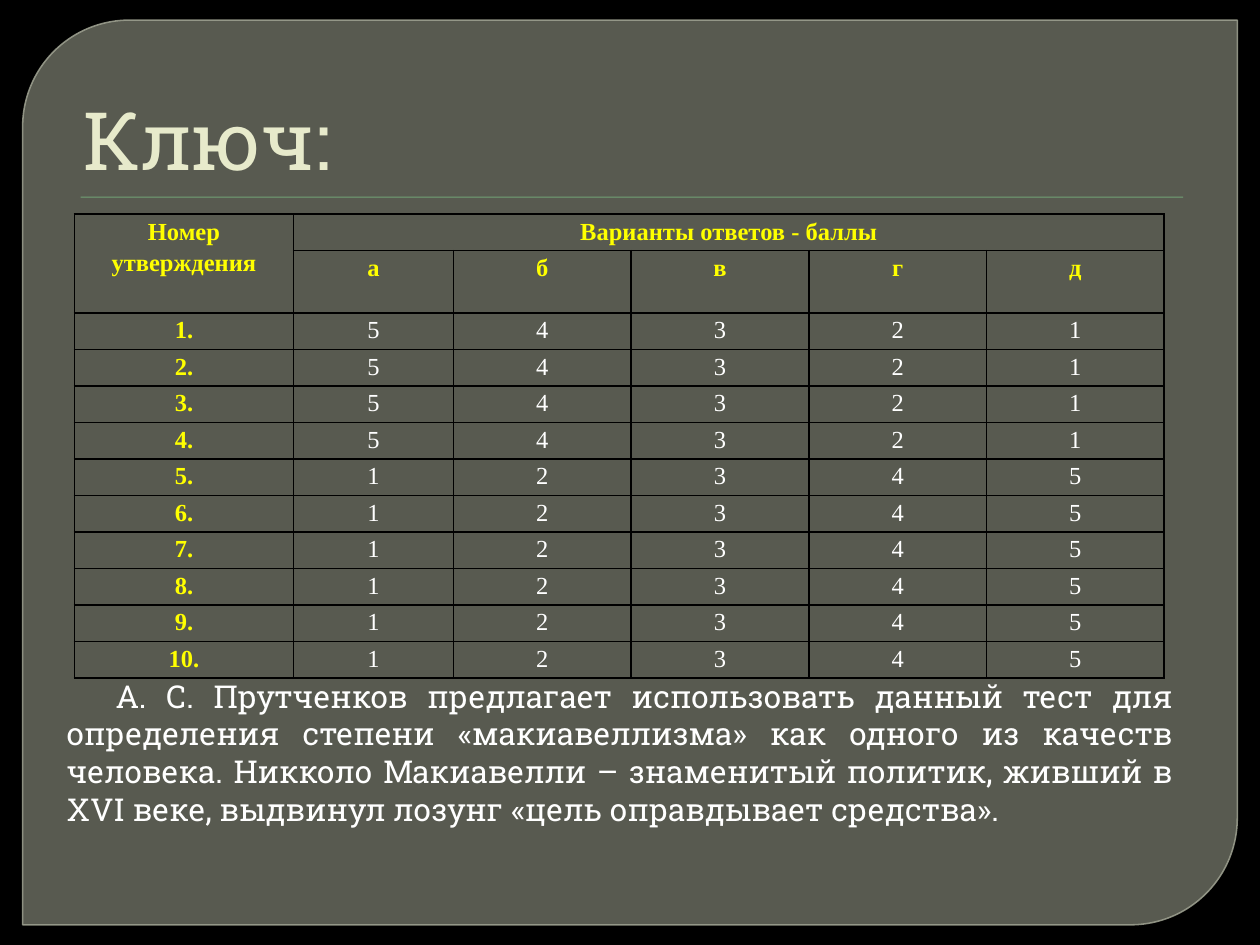
"""Builds the answer-key slide: a title, a scoring table and a closing note."""
from lxml.etree import SubElement
from pptx import Presentation
from pptx.dml.color import RGBColor
from pptx.enum.shapes import MSO_SHAPE
from pptx.enum.text import MSO_ANCHOR, MSO_AUTO_SIZE, PP_ALIGN
from pptx.oxml import parse_xml
from pptx.oxml.ns import nsdecls, qn
from pptx.util import Inches, Pt

YELLOW, WHITE = "FFFF00", "FFFFFF"
NOTE = ("А. С. Прутченков предлагает использовать данный тест для определения степени "
        "«макиавеллизма» как одного из качеств человека. Никколо Макиавелли – знаменитый "
        "политик, живший в XVI веке, выдвинул лозунг «цель оправдывает средства».")


def style(p, size, font, color, align, bold=False):
    """Formats a paragraph and its runs."""
    p.alignment = align
    for r in p.runs:
        r.font.size, r.font.name, r.font.bold = Pt(size), font, bold
        r.font.color.rgb = RGBColor.from_string(color)


def set_alpha(fill, percent):
    """Makes a solid fill partly transparent."""
    SubElement(fill.find(".//" + qn("a:srgbClr")), qn("a:alpha"), val=str(percent * 1000))


prs = Presentation()
prs.slide_width, prs.slide_height = Inches(10), Inches(7.5)
s = prs.slides.add_slide(prs.slide_layouts[5])
s.background.fill.solid()
s.background.fill.fore_color.rgb = RGBColor.from_string("000000")

panel = s.shapes.add_shape(MSO_SHAPE.ROUND_2_DIAG_RECTANGLE,
                           Inches(0.18), Inches(0.16), Inches(9.64), Inches(7.18))
panel.adjustments[0], panel.adjustments[1] = 0.118, 0
panel.shadow.inherit = False
panel.fill.solid()
panel.fill.fore_color.rgb = RGBColor.from_string("888B7B")
panel.line.color.rgb = RGBColor.from_string("9DA090")
panel.line.width = Pt(0.87)
set_alpha(panel.element.spPr.find(qn("a:solidFill")), 65)
set_alpha(panel.element.spPr.find(qn("a:ln")), 88)

rule = s.shapes.add_shape(MSO_SHAPE.RECTANGLE, Inches(0.64), Inches(1.56), Inches(8.75), Inches(0.01))
rule.fill.solid()
rule.fill.fore_color.rgb = RGBColor.from_string("72A376")
rule.line.fill.background()
rule.shadow.inherit = False
rule.element.spPr.find(qn("a:effectLst")).append(parse_xml(
    f'<a:outerShdw {nsdecls("a")} blurRad="12700" dist="12700" dir="5400000">'
    '<a:srgbClr val="000000"><a:alpha val="75000"/></a:srgbClr></a:outerShdw>'))

title = s.shapes.title
rule.element.addnext(title.element)
title.left, title.top, title.width, title.height = Inches(0.5), Inches(0.28), Inches(9), Inches(1.25)
tf = title.text_frame
tf.text = "Ключ:"
tf.auto_size = MSO_AUTO_SIZE.NONE
tf.vertical_anchor = MSO_ANCHOR.BOTTOM
style(tf.paragraphs[0], 46, "Roboto Slab", "E7EACB", PP_ALIGN.LEFT)
tf.paragraphs[0]._p.get_or_add_pPr().set("marL", str(Inches(0.06)))

rows = [["Номер утверждения", "Варианты ответов - баллы", "", "", "", ""], ["", *"абвгд"]]
rows += [[f"{n}.", *("54321" if n <= 4 else "12345")] for n in range(1, 11)]
widths = [1.74, 1.27] + [1.41] * 4
frame = s.shapes.add_table(len(rows), len(widths), Inches(0.59), Inches(1.7),
                           Inches(sum(widths)), Inches(0.29 * len(rows)))
table = frame.table
table.first_row = table.horz_banding = False
for column, width in zip(table.columns, widths):
    column.width = Inches(width)
for row in table.rows:
    row.height = Inches(0.29)
table.cell(0, 0).merge(table.cell(1, 0))
table.cell(0, 1).merge(table.cell(0, 5))

for i, row in enumerate(rows):
    for j, text in enumerate(row):
        cell = table.cell(i, j)
        cell.margin_left = cell.margin_right = Inches(0.07)
        cell.margin_top = cell.margin_bottom = 0
        for side in ("lnL", "lnR", "lnT", "lnB"):
            cell._tc.get_or_add_tcPr().append(parse_xml(
                f'<a:{side} {nsdecls("a")} w="12700"><a:solidFill>'
                f'<a:srgbClr val="000000"/></a:solidFill></a:{side}>'))
        cell.fill.background()
        if text:
            cell.text_frame.text = text
            p = cell.text_frame.paragraphs[0]
            p.line_spacing = 1.15
            heading = i < 2 or j == 0
            style(p, 14, "Times New Roman", YELLOW if heading else WHITE, PP_ALIGN.CENTER, heading)

note = s.shapes.add_textbox(Inches(0.43), Inches(5.32), Inches(8.98), Inches(1.62))
tf = note.text_frame
tf.word_wrap = True
tf.auto_size = MSO_AUTO_SIZE.SHAPE_TO_FIT_TEXT
tf.text = NOTE
style(tf.paragraphs[0], 18, "Roboto Slab", WHITE, PP_ALIGN.JUSTIFY)
tf.paragraphs[0]._p.get_or_add_pPr().set("indent", str(Inches(0.39)))

prs.save("out.pptx")
